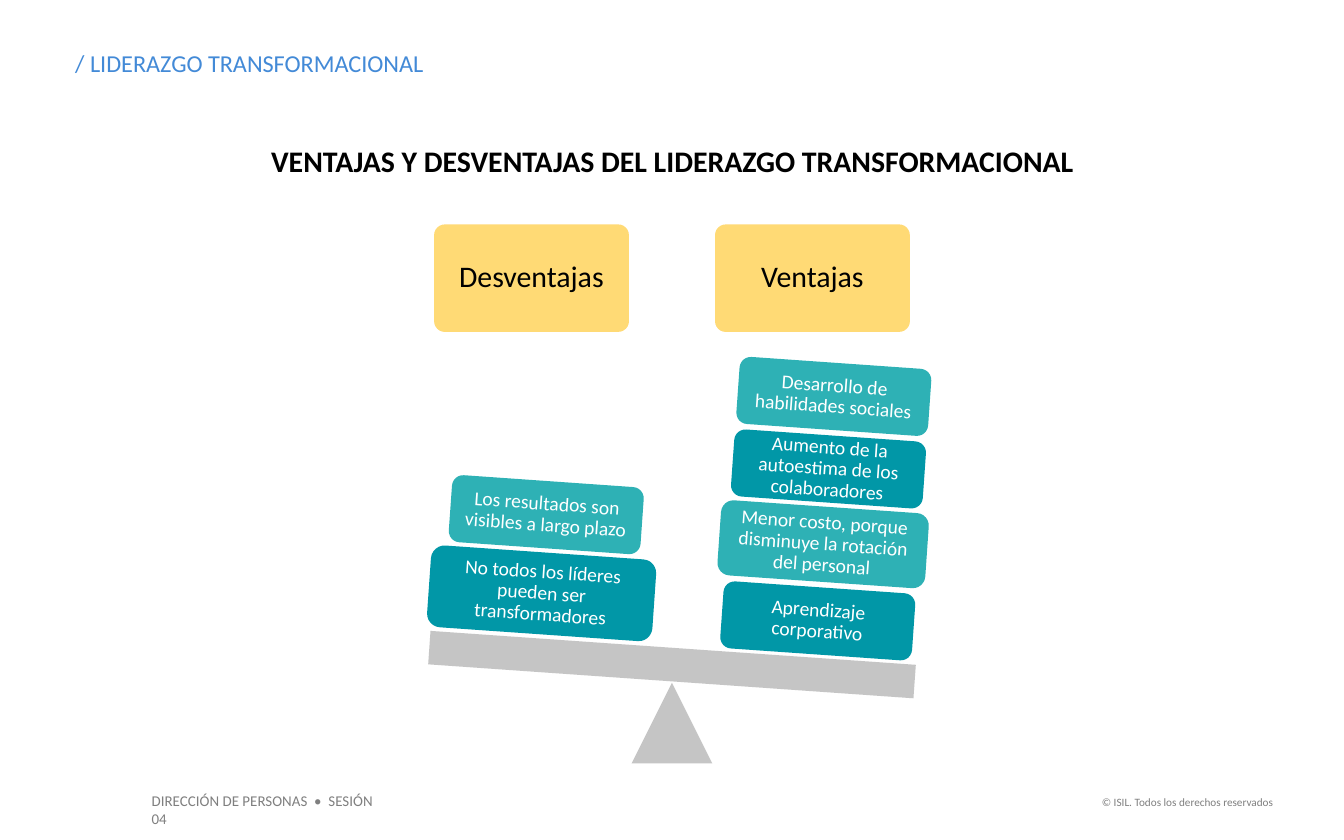
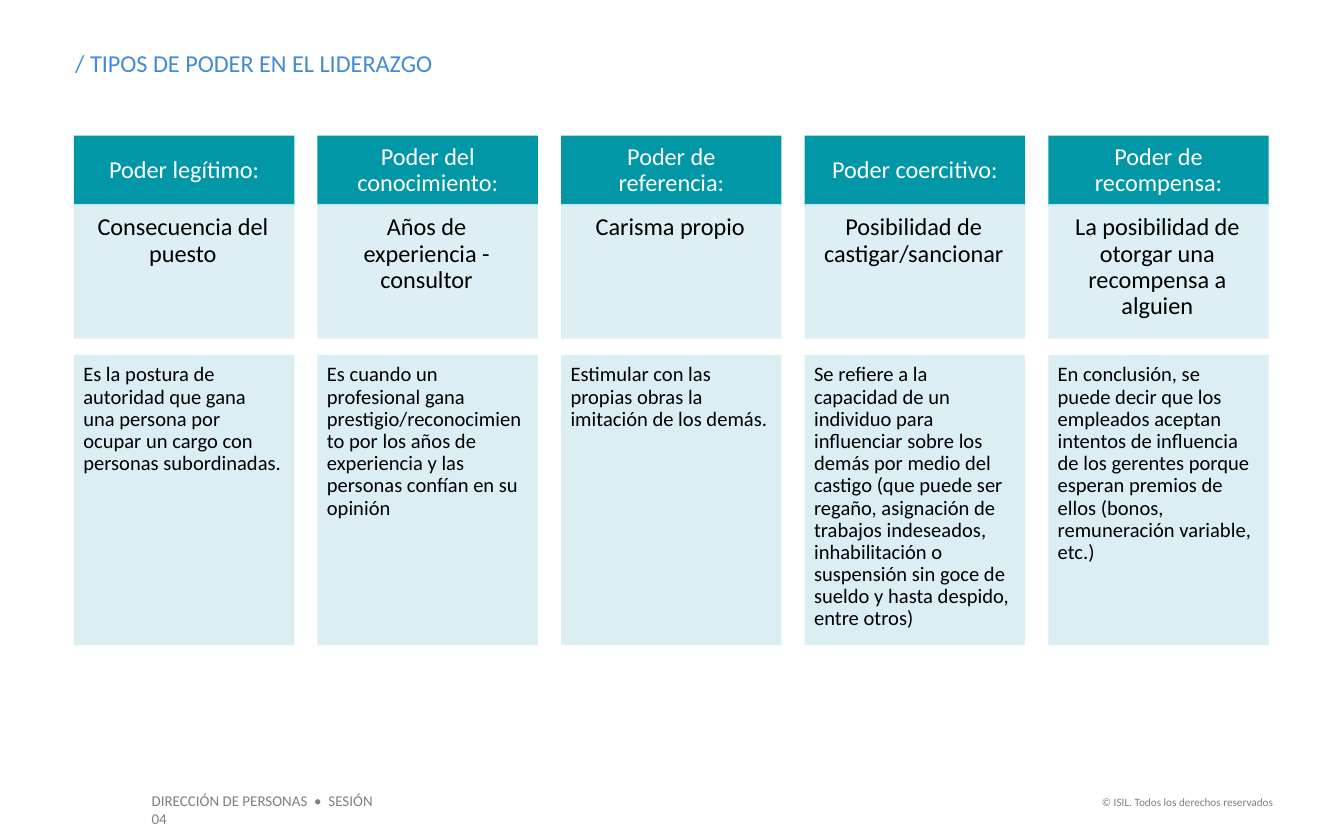
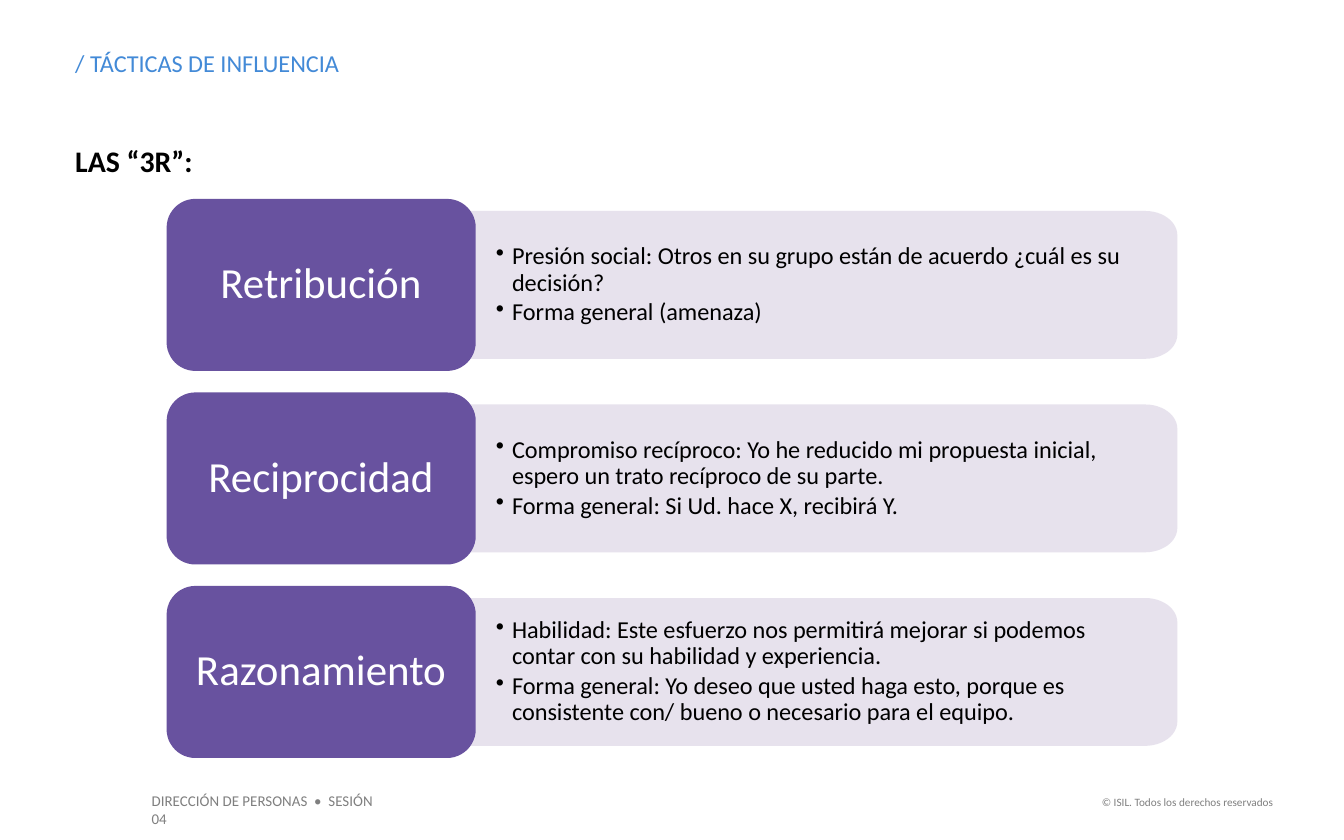
"""Build three slides on leadership: seesaw of pros and cons, kinds of power, influence tactics."""
import math
from typing import NamedTuple, Optional

from lxml import etree
from pptx import Presentation
from pptx.dml.color import RGBColor
from pptx.enum.shapes import MSO_SHAPE
from pptx.enum.text import MSO_ANCHOR, MSO_AUTO_SIZE, PP_ALIGN
from pptx.oxml.ns import qn
from pptx.util import Inches, Pt

RECTANGLE = MSO_SHAPE.RECTANGLE
ROUNDED = MSO_SHAPE.ROUNDED_RECTANGLE
TRIANGLE = MSO_SHAPE.ISOSCELES_TRIANGLE
TOP, MIDDLE = MSO_ANCHOR.TOP, MSO_ANCHOR.MIDDLE
LEFT, CENTER, RIGHT = PP_ALIGN.LEFT, PP_ALIGN.CENTER, PP_ALIGN.RIGHT
NO_AUTOSIZE = MSO_AUTO_SIZE.NONE

FONT = "Calibri"
BLACK = RGBColor(0x00, 0x00, 0x00)
WHITE = RGBColor(0xFF, 0xFF, 0xFF)
TITLE_BLUE = RGBColor(0x43, 0x8A, 0xD7)
FOOTER_GRAY = RGBColor(0x7F, 0x7F, 0x7F)
YELLOW = RGBColor(0xFF, 0xD7, 0x67)
SEESAW_GRAY = RGBColor(0xBF, 0xBF, 0xBF)
DARK_TEAL = RGBColor(0x01, 0x97, 0xA7)
LIGHT_TEAL = RGBColor(0x2E, 0xB1, 0xB5)
PALE_BLUE = RGBColor(0xDA, 0xEE, 0xF3)
PURPLE = RGBColor(0x68, 0x52, 0x9F)
LILAC = RGBColor(0xE5, 0xDF, 0xEC)
TILT = 4


class Box(NamedTuple):
    """Position and size in inches."""
    left: float
    top: float
    width: float
    height: float

    def emu(self) -> tuple:
        """Return the four lengths as slide units."""
        return tuple(Inches(length) for length in self)


class TextStyle(NamedTuple):
    """Look of the text in one box; insets run left, top, right, bottom."""
    size: float
    color: RGBColor
    align: PP_ALIGN = LEFT
    anchor: MSO_ANCHOR = TOP
    insets: tuple = (0, 0, 0, 0)
    spacing: Optional[float] = None
    bold: bool = False
    bulleted: bool = False


class Weight(NamedTuple):
    """A block resting on the seesaw."""
    label: str
    box: Box
    color: RGBColor


class Power(NamedTuple):
    """A kind of power with its summary and explanation."""
    name: str
    summary: str
    detail: str


class Tactic(NamedTuple):
    """An influence tactic and its points."""
    name: str
    points: list


TITLE = TextStyle(13, TITLE_BLUE)
HEADING = TextStyle(16, BLACK, bold=True)
FOOTER_INSETS = (0.1, 0.05, 0.1, 0.05)
SESSION = TextStyle(8, FOOTER_GRAY, insets=FOOTER_INSETS)
COPYRIGHT = TextStyle(6, FOOTER_GRAY, RIGHT, insets=FOOTER_INSETS)
SIDE = TextStyle(16, BLACK, CENTER, MIDDLE, (0.07,) * 4, 0.9)
WEIGHT = TextStyle(10.5, WHITE, CENTER, MIDDLE, (0.05,) * 4, 0.9)
POWER_NAME = TextStyle(13, WHITE, CENTER, MIDDLE, (0.1, 0.06, 0.1, 0.06), 0.9)
POWER_SUMMARY = TextStyle(13, BLACK, CENTER, TOP, (0.08, 0.08, 0.1, 0.11), 0.9)
POWER_DETAIL = TextStyle(11, BLACK, LEFT, TOP, (0.07, 0.07, 0.09, 0.1), 0.9)
TACTIC_NAME = TextStyle(23, WHITE, CENTER, MIDDLE, (0.1, 0.05, 0.1, 0.05), 0.9)
TACTIC_POINTS = TextStyle(13, BLACK, LEFT, MIDDLE, (0.27, 0.19, 0.32, 0.19), 0.9,
                          bulleted=True)

SIDES = {"Desventajas": 3.23, "Ventajas": 5.32}
WEIGHTS = [
    Weight("Aprendizaje corporativo", Box(5.37, 4.37, 1.43, 0.5), DARK_TEAL),
    Weight("Menor costo, porque disminuye la rotación del personal",
           Box(5.35, 3.77, 1.55, 0.56), LIGHT_TEAL),
    Weight("Aumento de la autoestima de los colaboradores",
           Box(5.45, 3.24, 1.43, 0.5), DARK_TEAL),
    Weight("Desarrollo de habilidades sociales", Box(5.49, 2.7, 1.43, 0.5), LIGHT_TEAL),
    Weight("No todos los líderes pueden ser transformadores",
           Box(3.19, 4.11, 1.68, 0.61), DARK_TEAL),
    Weight("Los resultados son visibles a largo plazo",
           Box(3.35, 3.58, 1.43, 0.5), LIGHT_TEAL),
]
POWERS = [
    Power("Poder legítimo:", "Consecuencia del puesto",
          "Es la postura de autoridad que gana una persona por ocupar un cargo con "
          "personas subordinadas."),
    Power("Poder del conocimiento:", "Años de experiencia - consultor",
          "Es cuando un profesional gana prestigio/reconocimiento por los años de "
          "experiencia y las personas confían en su opinión"),
    Power("Poder de referencia:", "Carisma propio",
          "Estimular con las propias obras la imitación de los demás."),
    Power("Poder coercitivo:", "Posibilidad de castigar/sancionar",
          "Se refiere a la capacidad de un individuo para influenciar sobre los demás "
          "por medio del castigo (que puede ser regaño, asignación de trabajos "
          "indeseados, inhabilitación o suspensión sin goce de sueldo y hasta despido, "
          "entre otros)"),
    Power("Poder de recompensa:", "La posibilidad de otorgar una recompensa a alguien",
          "En conclusión, se puede decir que los empleados aceptan intentos de "
          "influencia de los gerentes porque esperan premios de ellos (bonos, "
          "remuneración variable, etc.)"),
]
TACTICS = [
    Tactic("Retribución", [
        "Presión social: Otros en su grupo están de acuerdo ¿cuál es su decisión?",
        "Forma general (amenaza)"]),
    Tactic("Reciprocidad", [
        "Compromiso recíproco: Yo he reducido mi propuesta inicial, espero un trato "
        "recíproco de su parte.",
        "Forma general: Si Ud. hace X, recibirá Y."]),
    Tactic("Razonamiento", [
        "Habilidad: Este esfuerzo nos permitirá mejorar si podemos contar con su "
        "habilidad y experiencia.",
        "Forma general: Yo deseo que usted haga esto, porque es consistente con/ bueno "
        "o necesario para el equipo."]),
]


def add_bullet(paragraph) -> None:
    """Give a paragraph a black round bullet with a hanging indent."""
    properties = paragraph._p.get_or_add_pPr()
    properties.set("marL", str(Inches(0.12)))
    properties.set("indent", str(-Inches(0.12)))
    color = etree.SubElement(properties, qn("a:buClr"))
    etree.SubElement(color, qn("a:srgbClr"), val=str(BLACK))
    etree.SubElement(properties, qn("a:buChar"), char="•")


def write(shape, lines: list, style: TextStyle) -> None:
    """Fill a shape with paragraphs in one style."""
    frame = shape.text_frame
    frame.word_wrap = True
    frame.auto_size = NO_AUTOSIZE
    frame.vertical_anchor = style.anchor
    (frame.margin_left, frame.margin_top,
     frame.margin_right, frame.margin_bottom) = map(Inches, style.insets)
    for index, line in enumerate(lines):
        paragraph = frame.add_paragraph() if index else frame.paragraphs[0]
        paragraph.text = line
        paragraph.alignment = style.align
        paragraph.line_spacing = style.spacing
        paragraph.space_before = Pt(1.9 if index else 0)
        if style.bulleted:
            add_bullet(paragraph)
        font = paragraph.font
        font.name, font.size, font.bold = FONT, Pt(style.size), style.bold
        font.color.rgb = style.color


def paint(shape, color: RGBColor, opacity: int = 100) -> None:
    """Give a shape a flat fill without outline or shadow."""
    shape.shadow.inherit = False
    shape.line.fill.background()
    shape.fill.solid()
    shape.fill.fore_color.rgb = color
    if opacity < 100:
        fill_color = shape.element.spPr.find(qn("a:solidFill")).find(qn("a:srgbClr"))
        etree.SubElement(fill_color, qn("a:alpha"), val=str(opacity * 1000))


def add_block(slide, kind: MSO_SHAPE, box: Box, color: RGBColor, opacity: int = 100,
              label: str = "", style: Optional[TextStyle] = None, rotation: float = 0):
    """Draw a filled preset shape, with a label if a style is given."""
    block = slide.shapes.add_shape(kind, *box.emu())
    paint(block, color, opacity)
    block.rotation = rotation
    if style:
        write(block, [label], style)
    return block


def add_text(slide, box: Box, text: str, style: TextStyle) -> None:
    """Draw a text box."""
    write(slide.shapes.add_textbox(*box.emu()), [text], style)


def add_panel(slide, box: Box, lines: list) -> None:
    """Draw a panel with rounded right corners that holds a list."""
    radius_x, radius_y, steps = 0.24, 0.18, 12
    right, bottom = box.left + box.width, box.top + box.height
    outline = []
    for first_angle, center_y in ((-90, box.top + radius_y), (0, bottom - radius_y)):
        for step in range(steps + 1):
            angle = math.radians(first_angle + 90 * step / steps)
            outline.append((Inches(right - radius_x + radius_x * math.cos(angle)),
                            Inches(center_y + radius_y * math.sin(angle))))
    outline.append((Inches(box.left), Inches(bottom)))
    builder = slide.shapes.build_freeform(Inches(box.left), Inches(box.top))
    builder.add_line_segments(outline, close=True)
    panel = builder.convert_to_shape()
    paint(panel, LILAC, 90)
    write(panel, lines, TACTIC_POINTS)


def add_slide(deck, title: str):
    """Add a slide with the shared title and footers."""
    slide = deck.slides.add_slide(deck.slide_layouts[5])
    heading = slide.shapes.title
    heading.left, heading.top, heading.width, heading.height = Box(
        0.56, 0.36, 4.28, 0.22).emu()
    write(heading, [title], TITLE)
    add_text(slide, Box(1.03, 5.84, 1.98, 0.24),
             "DIRECCIÓN DE PERSONAS  •  SESIÓN 04", SESSION)
    add_text(slide, Box(8.05, 5.87, 1.52, 0.2),
             "© ISIL. Todos los derechos reservados", COPYRIGHT)
    return slide


def add_heading(slide, text: str, align: PP_ALIGN) -> None:
    """Draw the bold heading under the title."""
    add_text(slide, Box(0.56, 1.06, 8.89, 0.27), text, HEADING._replace(align=align))


def build_seesaw(deck) -> None:
    """Weigh the drawbacks against the advantages."""
    slide = add_slide(deck, "/ LIDERAZGO TRANSFORMACIONAL")
    add_heading(slide, "VENTAJAS Y DESVENTAJAS DEL LIDERAZGO TRANSFORMACIONAL", CENTER)
    for side, left in SIDES.items():
        card = add_block(slide, ROUNDED, Box(left, 1.67, 1.45, 0.8), YELLOW, 90, side, SIDE)
        card.adjustments[0] = 0.1
    add_block(slide, TRIANGLE, Box(4.7, 5.08, 0.6, 0.6), SEESAW_GRAY, 90)
    add_block(slide, RECTANGLE, Box(3.19, 4.82, 3.62, 0.25), SEESAW_GRAY, 90, rotation=TILT)
    for weight in WEIGHTS:
        add_block(slide, ROUNDED, weight.box, weight.color, label=weight.label,
                  style=WEIGHT, rotation=TILT)


def build_powers(deck) -> None:
    """Lay out the kinds of power in equal columns."""
    slide = add_slide(deck, "/ TIPOS DE PODER EN EL LIDERAZGO")
    first_left, last_left, width = 0.55, 7.8, 1.64
    step = (last_left - first_left) / (len(POWERS) - 1)
    for column, power in enumerate(POWERS):
        left = first_left + column * step
        add_block(slide, RECTANGLE, Box(left, 1.01, width, 0.52), DARK_TEAL,
                  label=power.name, style=POWER_NAME)
        add_block(slide, RECTANGLE, Box(left, 1.52, width, 1), PALE_BLUE, 90,
                  power.summary, POWER_SUMMARY)
        add_block(slide, RECTANGLE, Box(left, 2.64, width, 2.16), PALE_BLUE,
                  label=power.detail, style=POWER_DETAIL)


def build_tactics(deck) -> None:
    """Stack the three tactics, each beside its points."""
    slide = add_slide(deck, "/ TÁCTICAS DE INFLUENCIA")
    add_heading(slide, "LAS “3R”:", LEFT)
    for row, tactic in enumerate(TACTICS):
        top = 1.48 + row * 1.44
        add_panel(slide, Box(3.42, top + 0.09, 5.34, 1.1), tactic.points)
        add_block(slide, ROUNDED, Box(1.24, top, 2.3, 1.28), PURPLE,
                  label=tactic.name, style=TACTIC_NAME)


def main() -> None:
    """Build and save the deck."""
    deck = Presentation()
    deck.slide_width, deck.slide_height = Inches(10), Inches(6.25)
    build_seesaw(deck)
    build_powers(deck)
    build_tactics(deck)
    deck.save("out.pptx")


if __name__ == "__main__":
    main()
